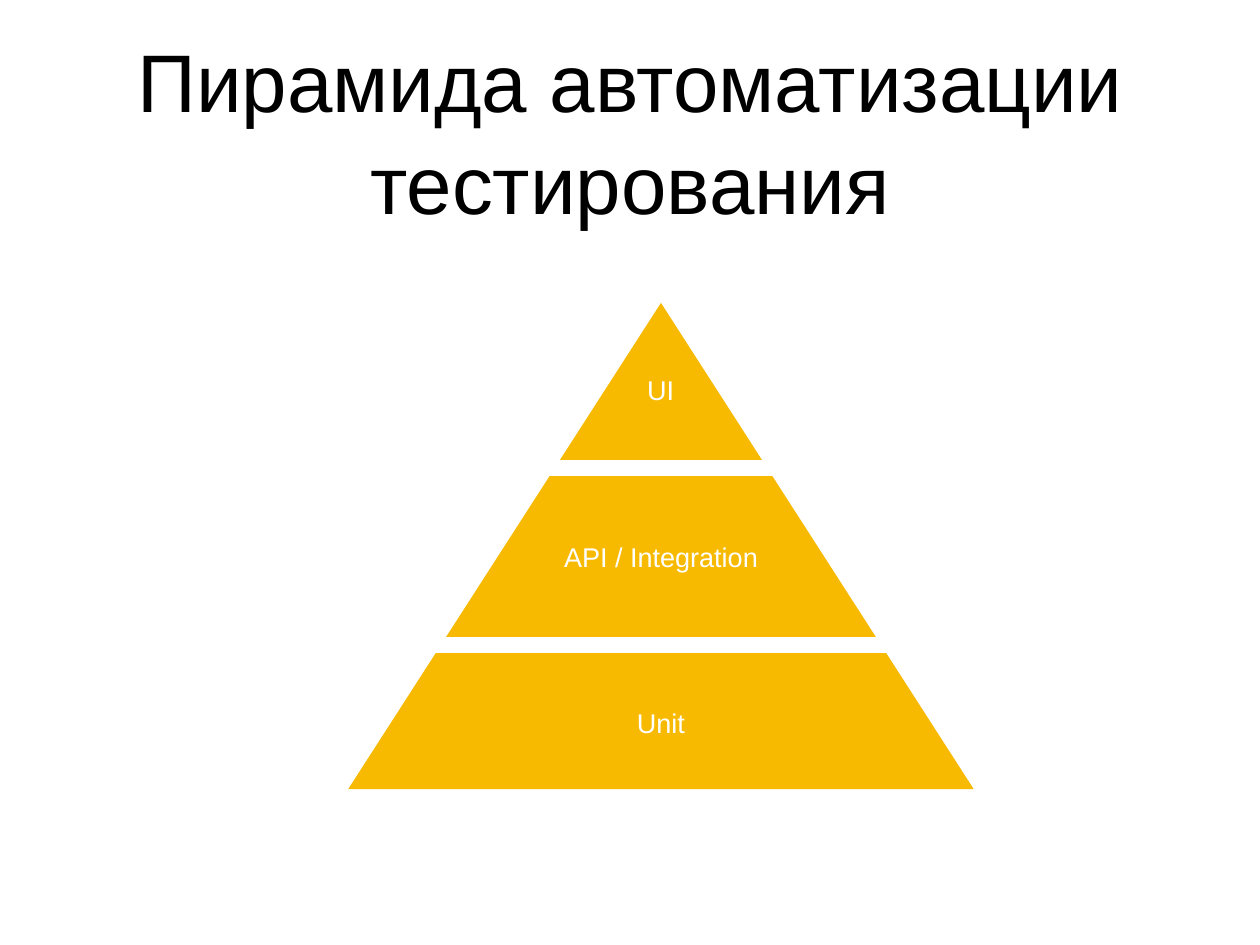
from lxml.etree import SubElement
from pptx import Presentation
from pptx.dml.color import RGBColor
from pptx.enum.shapes import MSO_CONNECTOR, MSO_SHAPE
from pptx.enum.text import MSO_ANCHOR, MSO_AUTO_SIZE, PP_ALIGN
from pptx.oxml.ns import qn
from pptx.util import Inches, Pt

COLORS = {"amber": "F7BA01", "white": "FFFFFF", "black": "000000"}


def color(name):
    return RGBColor.from_string(COLORS[name])


def write(box, text, size, color_name, wrap):
    frame = box.text_frame
    frame_format = {
        "word_wrap": wrap,
        "auto_size": MSO_AUTO_SIZE.NONE if wrap else MSO_AUTO_SIZE.SHAPE_TO_FIT_TEXT,
        "vertical_anchor": MSO_ANCHOR.MIDDLE,
        "margin_left": Inches(0.06),
        "margin_right": Inches(0.06),
        "margin_top": Inches(0.06),
        "margin_bottom": Inches(0.06),
    }
    for name, value in frame_format.items():
        setattr(frame, name, value)
    para = frame.paragraphs[0]
    para.alignment = PP_ALIGN.CENTER
    span = para.add_run()
    span.text = text
    for name, value in {"name": "Arial", "size": Pt(size)}.items():
        setattr(span.font, name, value)
    span.font.color.rgb = color(color_name)
    return para


deck = Presentation()
deck.slide_width, deck.slide_height = Inches(14.22), Inches(10.67)
page = deck.slides.add_slide(deck.slide_layouts[6])
shapes = page.shapes

# Title
title = shapes.add_textbox(Inches(1.04), Inches(0.28), Inches(12.14), Inches(2.36))
title_para = write(title, "Пирамида автоматизации тестирования", 66.4, "black", True)
title_para.line_spacing = 1.04

# Pyramid
center, top, base, half_base = 7.46, 3.42, 8.91, 3.53
outline = shapes.build_freeform(Inches(center), Inches(top))
outline.add_line_segments(
    [(Inches(center + half_base), Inches(base)), (Inches(center - half_base), Inches(base))],
    close=True,
)
pyramid = outline.convert_to_shape()
pyramid.shadow.inherit = False
pyramid.fill.solid()
pyramid.fill.fore_color.rgb = color("amber")
pyramid.line.fill.background()

# Level labels, evenly spaced down the pyramid
levels = [("UI", 7.24, 0.43), ("API / Integration", 6.25, 2.42), ("Unit", 7.11, 0.7)]
for index, (text, left, width) in enumerate(levels):
    label = shapes.add_shape(
        MSO_SHAPE.RECTANGLE,
        Inches(left), Inches(4.16 + 1.88 * index), Inches(width), Inches(0.48),
    )
    label.shadow.inherit = False
    label.fill.solid()
    label.fill.fore_color.rgb = color("amber")
    label.line.fill.background()
    write(label, text, 22, "white", False)

# White gaps between the levels
for y, half_width in [(5.28, 1.37), (7.28, 2.71)]:
    gap = shapes.add_connector(
        MSO_CONNECTOR.STRAIGHT,
        Inches(center - half_width), Inches(y), Inches(center + half_width), Inches(y),
    )
    gap.line.color.rgb = color("white")
    gap.line.width = Pt(13)
    SubElement(gap._element.spPr, qn("a:effectLst"))

deck.save("out.pptx")
